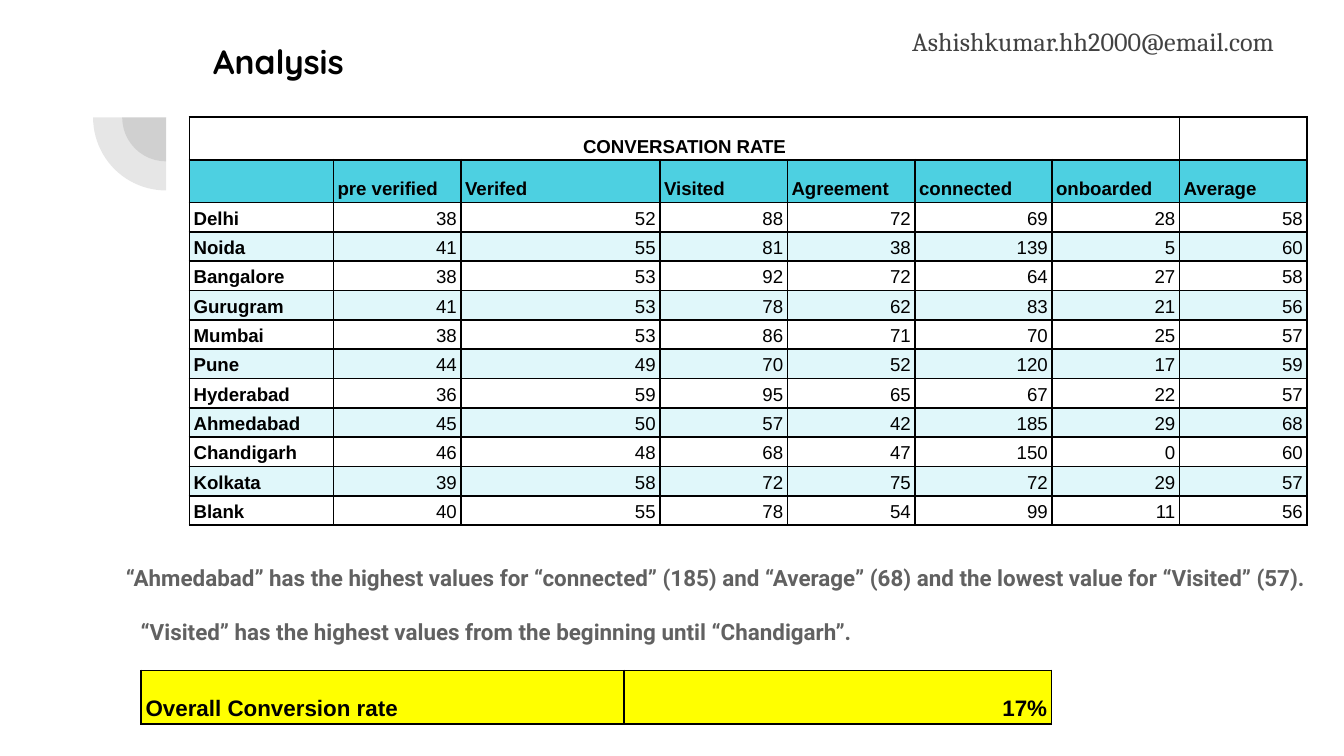
from lxml import etree
from pptx import Presentation
from pptx.dml.color import RGBColor
from pptx.enum.shapes import MSO_SHAPE
from pptx.enum.text import MSO_ANCHOR, MSO_AUTO_SIZE, PP_ALIGN
from pptx.oxml.ns import qn
from pptx.util import Cm, Pt

PIE, RECTANGLE = MSO_SHAPE.PIE, MSO_SHAPE.RECTANGLE
LEFT, CENTER, RIGHT = PP_ALIGN.LEFT, PP_ALIGN.CENTER, PP_ALIGN.RIGHT
BOTTOM = MSO_ANCHOR.BOTTOM
GROW = MSO_AUTO_SIZE.SHAPE_TO_FIT_TEXT

BLACK = RGBColor(0x00, 0x00, 0x00)
WHITE = RGBColor(0xFF, 0xFF, 0xFF)
DARK_GREY = RGBColor(0x42, 0x42, 0x42)
MID_GREY = RGBColor(0x61, 0x61, 0x61)
CYAN = RGBColor(0x4D, 0xD0, 0xE1)
PALE_CYAN = RGBColor(0xE0, 0xF7, 0xFA)
YELLOW = RGBColor(0xFF, 0xFF, 0x00)

TITLE = {"name": "Quicksand", "size": Pt(18), "bold": True}
NOTE = {"name": "Roboto", "size": Pt(12), "bold": True}
CONTACT = {"name": "Cambria", "size": Pt(14), "bold": False}

CELL_FORMAT = {
    "vertical_anchor": BOTTOM,
    "margin_left": Cm(0.08), "margin_right": Cm(0.08),
    "margin_top": Cm(0.05), "margin_bottom": Cm(0.05),
}
TEXT_MARGINS = {
    f"margin_{side}": Cm(0.25) for side in ("left", "top", "right", "bottom")
}

RATE_WIDTHS = (2.72, 2.41, 3.76, 2.41, 2.41, 2.59, 2.41, 2.41)
RATE_STAGES = ("", "pre verified", "Verifed", "Visited", "Agreement",
               "connected", "onboarded", "Average")
CITY_RATES = (
    ("Delhi", 38, 52, 88, 72, 69, 28, 58),
    ("Noida", 41, 55, 81, 38, 139, 5, 60),
    ("Bangalore", 38, 53, 92, 72, 64, 27, 58),
    ("Gurugram", 41, 53, 78, 62, 83, 21, 56),
    ("Mumbai", 38, 53, 86, 71, 70, 25, 57),
    ("Pune", 44, 49, 70, 52, 120, 17, 59),
    ("Hyderabad", 36, 59, 95, 65, 67, 22, 57),
    ("Ahmedabad", 45, 50, 57, 42, 185, 29, 68),
    ("Chandigarh", 46, 48, 68, 47, 150, 0, 60),
    ("Kolkata", 39, 58, 72, 75, 72, 29, 57),
    ("Blank", 40, 55, 78, 54, 99, 11, 56),
)


def apply_format(target, values):
    for name, value in values.items():
        setattr(target, name, value)


def add_quarter_rings(page, center_x, center_y):
    """Place two overlapping translucent quarter discs around one centre."""
    for radius in (0.83, 1.38):
        pie = page.shapes.add_shape(PIE, Cm(center_x - radius), Cm(center_y - radius),
                                    Cm(2 * radius), Cm(2 * radius))
        pie.shadow.inherit = False
        pie.rotation = 270
        pie.adjustments[0] = 108
        pie.adjustments[1] = 162
        pie.line.fill.background()
        pie.fill.solid()
        pie.fill.fore_color.rgb = DARK_GREY
        color = pie.fill._xPr.find(qn("a:solidFill"))[0]
        etree.SubElement(color, qn("a:alpha"), val="13000")


def write_text(box, text, style, color):
    frame = box.text_frame
    apply_format(frame, {"word_wrap": True, "auto_size": GROW, **TEXT_MARGINS})
    para = frame.paragraphs[0]
    para.alignment = LEFT
    span = para.add_run()
    span.text = text
    apply_format(span.font, style)
    span.font.color.rgb = color


def add_text(page, bounds, text, style, color):
    box = page.shapes.add_textbox(*map(Cm, bounds))
    write_text(box, text, style, color)


def add_contact(page, bounds, text):
    box = page.shapes.add_shape(RECTANGLE, *map(Cm, bounds))
    box.shadow.inherit = False
    box.fill.background()
    box.line.color.rgb = WHITE
    box.line.width = Pt(0.75)
    box.text_frame.vertical_anchor = MSO_ANCHOR.TOP
    write_text(box, text, CONTACT, DARK_GREY)


def add_borders(cell):
    properties = cell._tc.get_or_add_tcPr()
    for position, side in enumerate(("lnL", "lnR", "lnT", "lnB")):
        line = etree.Element(qn(f"a:{side}"), w=str(Pt(1)))
        fill = etree.SubElement(line, qn("a:solidFill"))
        etree.SubElement(fill, qn("a:srgbClr"), val=str(BLACK))
        properties.insert(position, line)


def fill_cell(cell, value, size, bold, alignment, color=None):
    apply_format(cell, CELL_FORMAT)
    if color is None:
        cell.fill.background()
    else:
        cell.fill.solid()
        cell.fill.fore_color.rgb = color
    add_borders(cell)
    para = cell.text_frame.paragraphs[0]
    apply_format(para, {"alignment": alignment, "line_spacing": 1.15})
    if value == "":
        etree.SubElement(para._p, qn("a:endParaRPr"), sz=str(size * 100))
        return
    span = para.add_run()
    span.text = str(value)
    apply_format(span.font, {"name": "Arial", "size": Pt(size), "bold": bold})
    span.font.color.rgb = BLACK


def add_grid(page, left, top, widths, heights):
    """Add a table without banding, sized by its columns and rows."""
    frame = page.shapes.add_table(len(heights), len(widths), Cm(left), Cm(top),
                                  Cm(sum(widths)), Cm(sum(heights)))
    table = frame.table
    apply_format(table, {"first_row": False, "horz_banding": False})
    for column, width in zip(table.columns, widths):
        column.width = Cm(width)
    for row, height in zip(table.rows, heights):
        row.height = Cm(height)
    return table


def add_rate_table(page, left, top):
    heights = [0.81] * 2 + [0.55] * len(CITY_RATES)
    table = add_grid(page, left, top, RATE_WIDTHS, heights)
    last = len(RATE_WIDTHS) - 1
    table.cell(0, 0).merge(table.cell(0, last - 1))
    for column, stage in enumerate(RATE_STAGES):
        heading = "CONVERSATION RATE" if column == 0 else ""
        fill_cell(table.cell(0, column), heading, 10, True, CENTER)
        fill_cell(table.cell(1, column), stage, 10, True, LEFT, CYAN)
    for index, rates in enumerate(CITY_RATES):
        color = PALE_CYAN if index % 2 else WHITE
        for column, value in enumerate(rates):
            is_city = column == 0
            fill_cell(table.cell(index + 2, column), value, 10, is_city,
                      LEFT if is_city else RIGHT, color)


def add_overall_rate(page, left, top):
    table = add_grid(page, left, top, (9.12, 8.08), (1.02,))
    fill_cell(table.cell(0, 0), "Overall Conversion rate", 12, True, LEFT, YELLOW)
    fill_cell(table.cell(0, 1), "17%", 12, True, RIGHT, YELLOW)


def main():
    deck = Presentation()
    deck.slide_width, deck.slide_height = Cm(25.4), Cm(14.29)
    page = deck.slides.add_slide(deck.slide_layouts[6])
    add_quarter_rings(page, 3.14, 2.22)
    add_rate_table(page, 3.58, 2.21)
    add_text(page, (3.78, 0.53, 8.33, 1.27), "Analysis", TITLE, BLACK)
    add_text(page, (2.13, 10.41, 23.27, 1.02),
             "“Ahmedabad” has the highest values for “connected” (185) and "
             "“Average” (68) and the lowest value for “Visited” (57).", NOTE, MID_GREY)
    add_text(page, (2.41, 11.43, 21.11, 1.02),
             "“Visited” has the highest values from the beginning until "
             "“Chandigarh”.", NOTE, MID_GREY)
    add_overall_rate(page, 2.67, 12.67)
    add_contact(page, (16.99, 0.23, 8.23, 1.12), "Ashishkumar.hh2000@email.com")
    deck.save("out.pptx")


if __name__ == "__main__":
    main()
